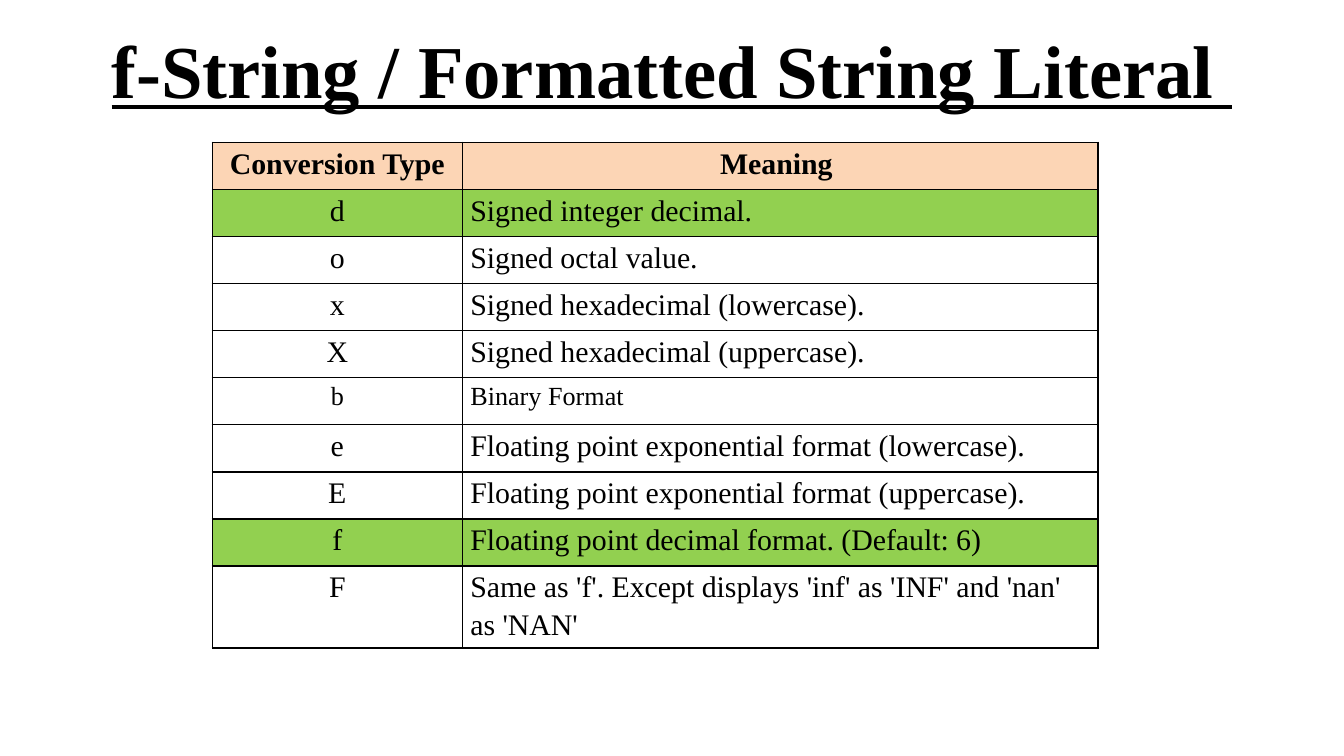
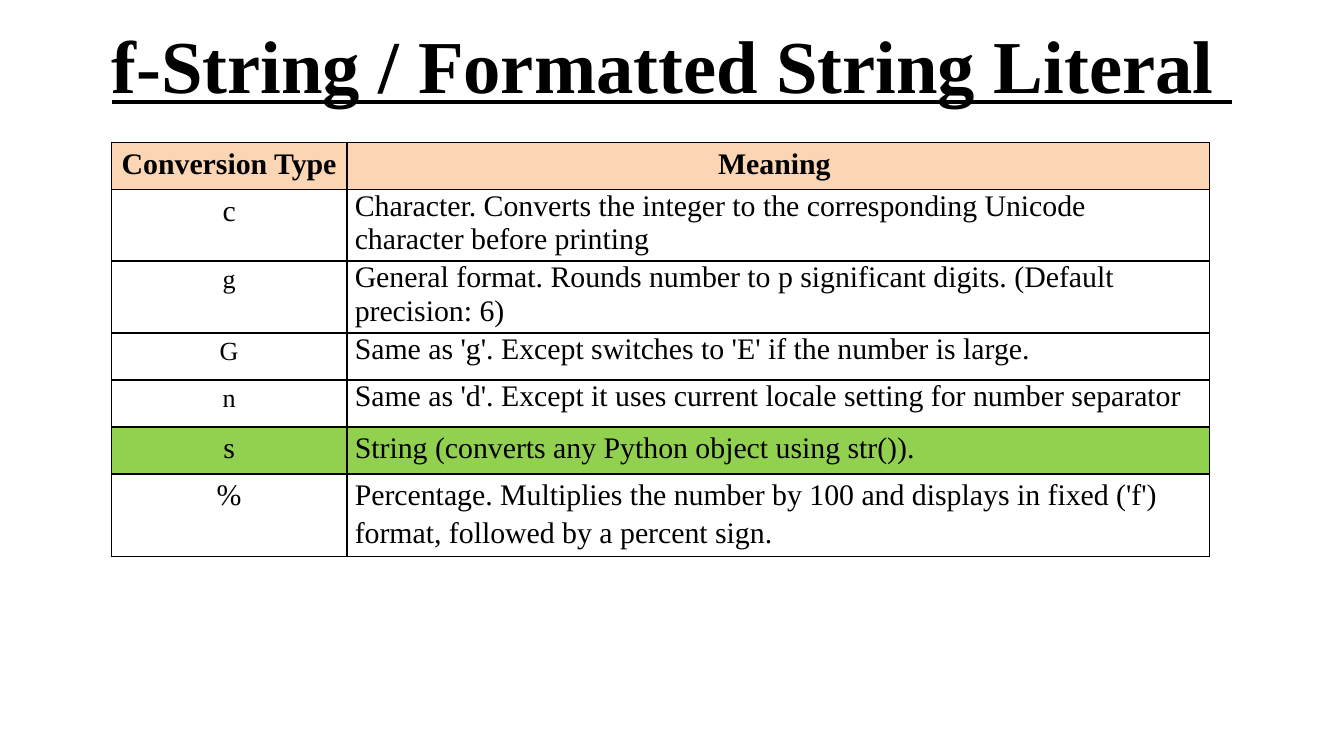
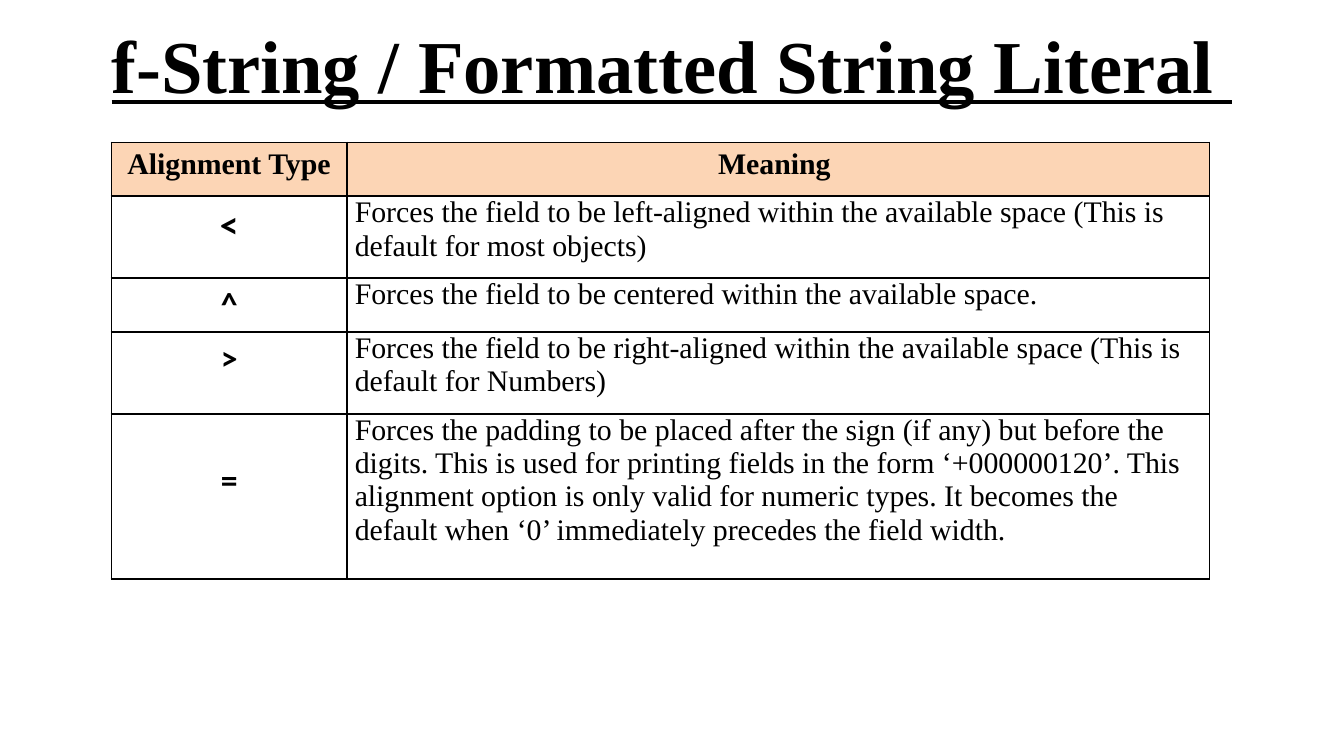
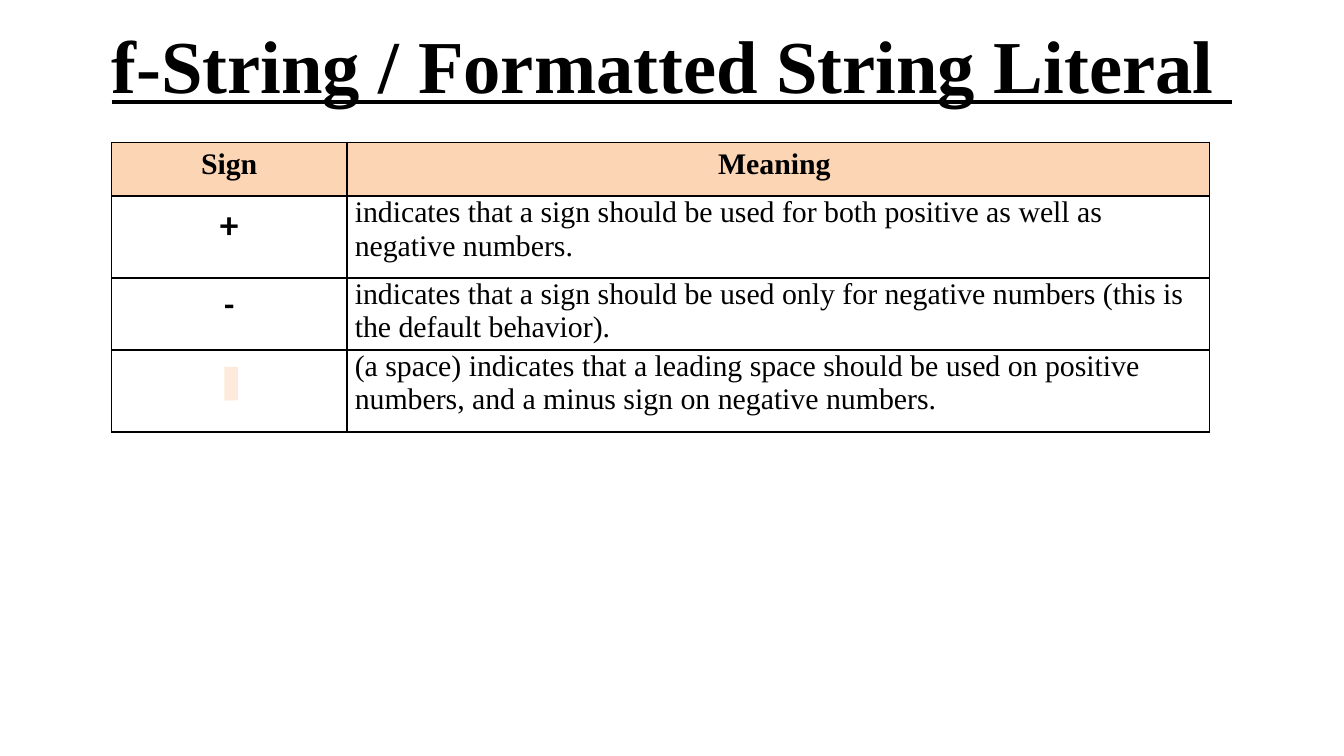
"""Build four slides of reference tables on f-string formatting."""
from dataclasses import dataclass

from lxml import etree
from pptx import Presentation
from pptx.dml.color import RGBColor
from pptx.enum.shapes import MSO_SHAPE
from pptx.enum.text import MSO_ANCHOR, PP_ALIGN
from pptx.oxml.ns import qn
from pptx.util import Inches, Pt

RECT = MSO_SHAPE.RECTANGLE
MIDDLE = MSO_ANCHOR.MIDDLE
LEFT, CENTER = PP_ALIGN.LEFT, PP_ALIGN.CENTER


@dataclass(frozen=True)
class Theme:
    """Colours, fonts and type sizes shared by the slides."""
    ink: str = "000000"
    paper: str = "FFFFFF"
    header: str = "FCD5B5"
    common: str = "92D050"
    space_mark: str = "FDEADA"
    font: str = "Times New Roman"
    symbol_font: str = "Calibri"
    title: int = 40
    body: int = 16
    small: int = 14
    symbol: int = 18
    first_symbol: int = 20
    loose: float = 1.15
    border: float = 1
    cell_inset: float = 0.06


@dataclass(frozen=True)
class Entry:
    """One table row: a code, its meaning and how both are set."""
    code: str
    meaning: str
    code_size: int = 16
    meaning_size: int = 16
    tight: bool = False
    common: bool = False
    symbol: bool = False
    height: float = 0.35
    drop: float = 0


T = Theme()
SLIDE_WIDTH = 10
SLIDE_HEIGHT = SLIDE_WIDTH * 9 / 16
TITLE = "f-String / Formatted String Literal "
FIRST_TITLE_BOX = (0.5, 0.04, 9, 0.94)
TITLE_BOX = (0.5, 0.06, 9, 0.83)
TABLE_TOP = 1.06
NARROW = (1.58, (1.86, 4.73))
WIDE = (0.83, (1.75, 6.42))
SYMBOL_HEADER = 0.4


def symbol_entry(code, meaning, size=T.symbol, height=0.61, drop=0):
    """Return a row led by a bold symbol."""
    return Entry(code, meaning, size, tight=True, symbol=True, height=height, drop=drop)


NUMBER_TYPES = [
    Entry("d", "Signed integer decimal.", common=True),
    Entry("o", "Signed octal value."),
    Entry("x", "Signed hexadecimal (lowercase)."),
    Entry("X", "Signed hexadecimal (uppercase)."),
    Entry("b", "Binary Format", T.small, T.small),
    Entry("e", "Floating point exponential format (lowercase)."),
    Entry("E", "Floating point exponential format (uppercase)."),
    Entry("f", "Floating point decimal format. (Default: 6)", common=True),
    Entry("F", "Same as 'f'. Except displays 'inf' as 'INF' and 'nan' as 'NAN'"),
]
OTHER_TYPES = [
    Entry("c", "Character. Converts the integer to the corresponding Unicode "
          "character before printing", tight=True),
    Entry("g", "General format. Rounds number to p significant digits. "
          "(Default precision: 6)", T.small, tight=True),
    Entry("G", "Same as 'g'. Except switches to 'E' if the number is large.",
          T.small, tight=True),
    Entry("n", "Same as 'd'. Except it uses current locale setting for number separator",
          T.small, tight=True),
    Entry("s", "String (converts any Python object using str()).", common=True),
    Entry("%", "Percentage. Multiplies the number by 100 and displays in fixed ('f') "
          "format, followed by a percent sign."),
]
ALIGNMENTS = [
    symbol_entry("<", "Forces the field to be left-aligned within the available space "
                 "(This is default for most objects)", T.first_symbol),
    symbol_entry("^", "Forces the field to be centered within the available space.",
                 height=0.4),
    symbol_entry(">", "Forces the field to be right-aligned within the available space "
                 "(This is default for Numbers)"),
    symbol_entry("=", "Forces the padding to be placed after the sign (if any) but before "
                 "the digits. This is used for printing fields in the form ‘+000000120’. "
                 "This alignment option is only valid for numeric types. It becomes the "
                 "default when ‘0’ immediately precedes the field width.",
                 height=1.23, drop=0.3),
]
SIGNS = [
    symbol_entry("+", "indicates that a sign should be used for both positive as well as "
                 "negative numbers.", T.first_symbol),
    symbol_entry("-", "indicates that a sign should be used only for negative numbers "
                 "(this is the default behavior).", height=0.4),
    symbol_entry("", "(a space) indicates that a leading space should be used on positive "
                 "numbers, and a minus sign on negative numbers."),
]


def rgb(color):
    """Return a colour object for a hex string."""
    return RGBColor.from_string(color)


def set_text(tf, text, size, align, bold=False, font=T.font, spacing=None):
    """Write one formatted paragraph and return it."""
    p = tf.paragraphs[0]
    p.text = text
    p.alignment = align
    p.line_spacing = spacing
    for r in p.runs:
        r.font.name = font
        r.font.size = Pt(size)
        r.font.bold = bold
        r.font.color.rgb = rgb(T.ink)
    return p


def add_title(s, box):
    """Add the underlined slide title in the given box."""
    sp = s.shapes.add_textbox(*map(Inches, box))
    tf = sp.text_frame
    tf.word_wrap = True
    tf.vertical_anchor = MIDDLE
    p = set_text(tf, TITLE, T.title, CENTER, bold=True)
    p.runs[0].font.underline = True


def style_cell(cell, fill, drop=0):
    """Give a cell its borders, fill and insets."""
    tc_pr = cell._tc.get_or_add_tcPr()
    for side in ("a:lnL", "a:lnR", "a:lnT", "a:lnB"):
        ln = etree.SubElement(tc_pr, qn(side), w=str(Pt(T.border)))
        solid = etree.SubElement(ln, qn("a:solidFill"))
        etree.SubElement(solid, qn("a:srgbClr"), val=T.ink)
    cell.fill.solid()
    cell.fill.fore_color.rgb = rgb(fill)
    cell.margin_left = cell.margin_right = Inches(T.cell_inset)
    cell.margin_top = Inches(drop)
    cell.margin_bottom = 0


def add_reference_table(s, layout, heading, entries, header_height):
    """Add a two-column table of codes and meanings."""
    left, widths = layout
    heights = [header_height] + [e.height for e in entries]
    box = (left, TABLE_TOP, sum(widths), sum(heights))
    table = s.shapes.add_table(len(heights), len(widths), *map(Inches, box)).table
    for column, width in zip(table.columns, widths):
        column.width = Inches(width)
    for row, height in zip(table.rows, heights):
        row.height = Inches(height)
    for cell, text in zip(table.rows[0].cells, (heading, "Meaning ")):
        style_cell(cell, T.header)
        set_text(cell.text_frame, text, T.body, CENTER, bold=True, spacing=T.loose)
    for i, e in enumerate(entries, 1):
        code, meaning = table.cell(i, 0), table.cell(i, 1)
        fill = T.common if e.common else T.paper
        style_cell(code, fill, e.drop)
        style_cell(meaning, fill)
        set_text(code.text_frame, e.code, e.code_size, CENTER, e.symbol,
                 T.symbol_font if e.symbol else T.font, T.loose)
        set_text(meaning.text_frame, e.meaning, e.meaning_size, LEFT,
                 spacing=None if e.tight else T.loose)


def add_space_mark(s, left, top):
    """Mark the space character in the sign column, relative to the table."""
    box = (left + 0.84, top + 1.67, 0.1, 0.25)
    sp = s.shapes.add_shape(RECT, *map(Inches, box))
    sp.shadow.inherit = False
    sp.fill.solid()
    sp.fill.fore_color.rgb = rgb(T.space_mark)
    sp.line.fill.background()


def add_reference_slide(prs, title_box, layout, heading, entries, header_height=0.35):
    """Add a slide with the shared title and one reference table."""
    s = prs.slides.add_slide(prs.slide_layouts[6])
    add_title(s, title_box)
    add_reference_table(s, layout, heading, entries, header_height)
    return s


def main():
    """Build and save the presentation."""
    prs = Presentation()
    prs.slide_width, prs.slide_height = Inches(SLIDE_WIDTH), Inches(SLIDE_HEIGHT)
    add_reference_slide(prs, FIRST_TITLE_BOX, NARROW, "Conversion Type", NUMBER_TYPES)
    add_reference_slide(prs, TITLE_BOX, WIDE, "Conversion Type", OTHER_TYPES)
    add_reference_slide(prs, TITLE_BOX, WIDE, "Alignment Type", ALIGNMENTS, SYMBOL_HEADER)
    s = add_reference_slide(prs, TITLE_BOX, WIDE, "Sign", SIGNS, SYMBOL_HEADER)
    add_space_mark(s, WIDE[0], TABLE_TOP)
    prs.save("out.pptx")


if __name__ == "__main__":
    main()
